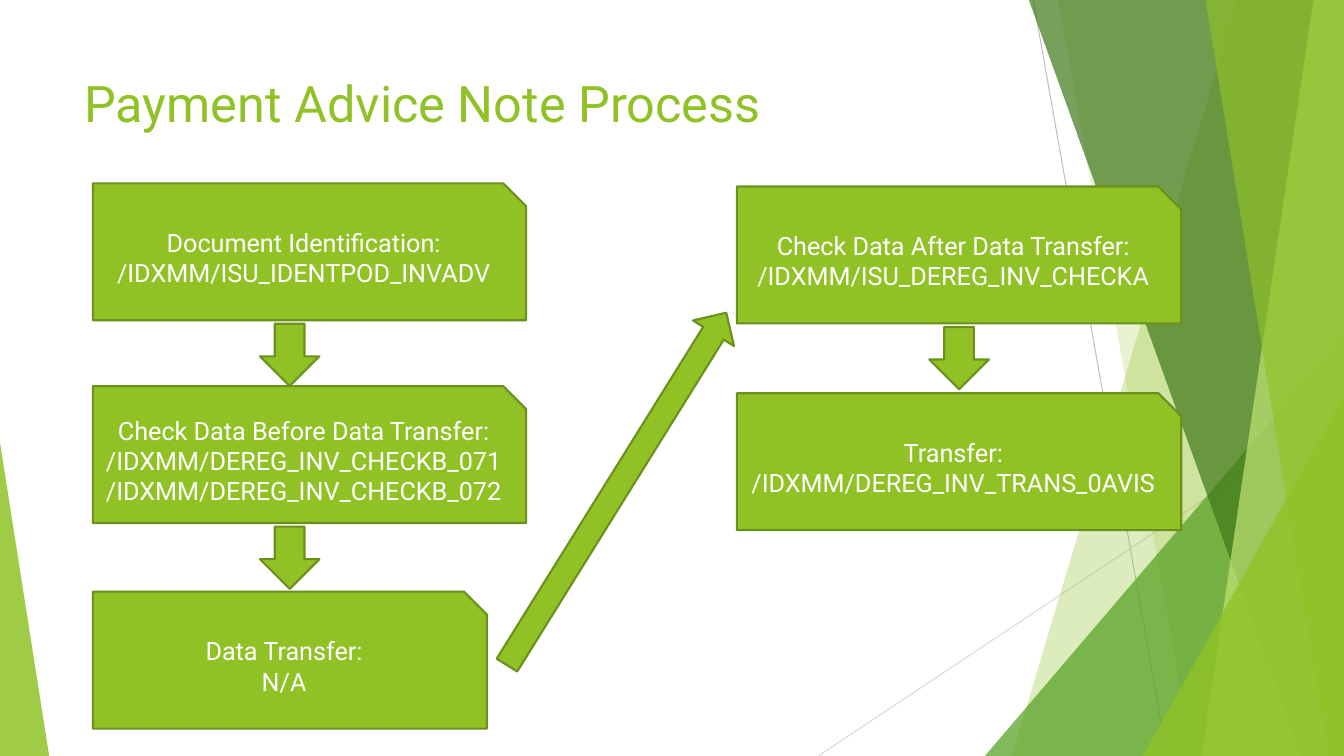
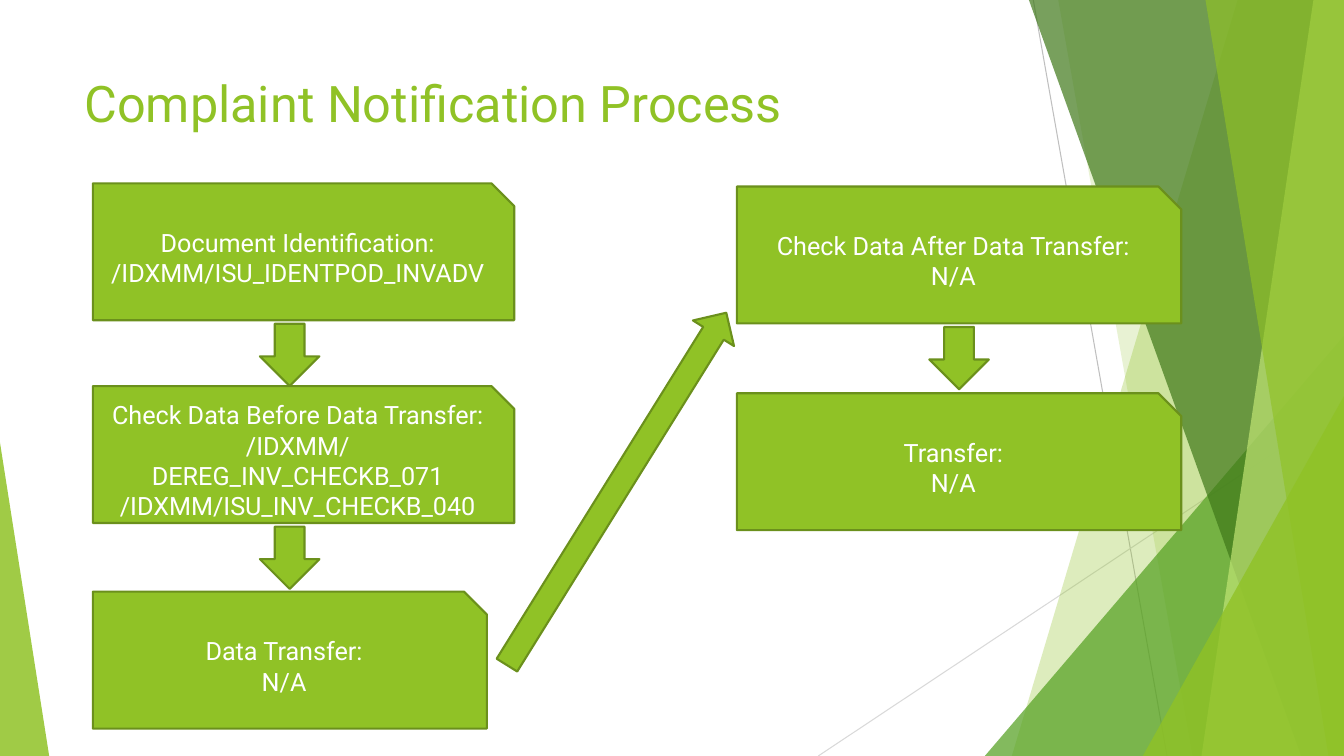
from lxml import etree
from pptx import Presentation
from pptx.dml.color import RGBColor
from pptx.enum.shapes import MSO_CONNECTOR, MSO_SHAPE
from pptx.enum.text import MSO_ANCHOR, PP_ALIGN
from pptx.oxml.ns import qn
from pptx.util import Cm, Pt

LINE = MSO_CONNECTOR.STRAIGHT
TRI, SNIP = MSO_SHAPE.ISOSCELES_TRIANGLE, MSO_SHAPE.SNIP_1_RECTANGLE
DOWN, RIGHT = MSO_SHAPE.DOWN_ARROW, MSO_SHAPE.RIGHT_ARROW
MIDDLE, TOP = MSO_ANCHOR.MIDDLE, MSO_ANCHOR.TOP
CENTER, LEFT = PP_ALIGN.CENTER, PP_ALIGN.LEFT

LIME = RGBColor(0x90, 0xC2, 0x26)
OLIVE = RGBColor(0x6B, 0x90, 0x1C)
GREEN = RGBColor(0x54, 0xA0, 0x21)
FOREST = RGBColor(0x3F, 0x78, 0x19)
PALE = RGBColor(0xC0, 0xE4, 0x74)
GRAY = RGBColor(0xBF, 0xBF, 0xBF)
SILVER = RGBColor(0xD9, 0xD9, 0xD9)
WHITE = RGBColor(0xFF, 0xFF, 0xFF)

# Content: title, width of the first two boxes, text of the five boxes
SLIDES = [
    ("Payment Advice Note Process", 10.92, [
        ["Document Identification:", "/IDXMM/ISU_IDENTPOD_INVADV"],
        ["Check Data Before Data Transfer:",
         "/IDXMM/DEREG_INV_CHECKB_071", "/IDXMM/DEREG_INV_CHECKB_072"],
        ["Data Transfer:", "N/A"],
        ["Check Data After Data Transfer:", "/IDXMM/ISU_DEREG_INV_CHECKA"],
        ["Transfer:", "/IDXMM/DEREG_INV_TRANS_0AVIS"],
    ]),
    ("Complaint Notification Process", 10.62, [
        ["Document Identification:", "/IDXMM/ISU_IDENTPOD_INVADV"],
        ["Check Data Before Data Transfer:",
         "/IDXMM/DEREG_INV_CHECKB_071", "/IDXMM/ISU_INV_CHECKB_040"],
        ["Data Transfer:", "N/A"],
        ["Check Data After Data Transfer:", "N/A"],
        ["Transfer:", "N/A"],
    ]),
]

# Layout in centimetres
WIDE, HIGH = 33.87, 19.05
TITLE = (1.88, 1.7, 23.88, 3.66)
BOX_H = 3.45
COL_1, COL_2 = 2.34, 18.57
TOPS_1, TOPS_2 = (4.62, 9.73, 14.91), (4.7, 9.91)
LAST_W, COL_2_W = 9.93, 11.2
ARROW_W, ARROW_H, GAP = 1.5, 1.57, 0.09
ARROW_1, ARROW_2 = 6.55, 23.42
LONG, TURN = (10.31, 11.71, 10.46, 1.22), 301.9

RULES = [(26.04, 0, 29.41, HIGH, GRAY), (WIDE, 10.24, 20.62, HIGH, SILVER)]
# Bands reach the right edge: top x, bottom x, colour, opacity in percent
# Corners end at the slide foot: left, top, width, peak, colour, opacity
DECOR = [
    ("band", 31.19, 25.5, LIME, 30),
    ("band", 26.67, 30.05, LIME, 20),
    ("corner", 24.82, 8.46, 9.05, 1, GREEN, 72),
    ("band", 25.93, 32.79, FOREST, 70),
    ("band", 33.1, 30.28, PALE, 70),
    ("band", 30.38, 33.48, LIME, 65),
    ("corner", 28.8, 9.98, 5.07, 1, LIME, 80),
    ("corner", 0, 11.15, 1.24, 0, LIME, 85),
]

HEAD = {"size": Pt(36), "name": "Roboto", "color": LIME}
BODY = {"size": Pt(18), "name": "Roboto", "color": WHITE}


def write(shape, lines, form, align, anchor):
    frame = shape.text_frame
    frame.word_wrap = True
    frame.vertical_anchor = anchor
    frame.text = "\n".join(lines)
    for para in frame.paragraphs:
        para.alignment = align
        for key, value in form.items():
            if key == "color":
                para.font.color.rgb = value
            else:
                setattr(para.font, key, value)


def paint(shape, color, edge=None, alpha=None):
    shape.shadow.inherit = False
    shape.fill.solid()
    shape.fill.fore_color.rgb = color
    if edge is None:
        shape.line.fill.background()
    else:
        shape.line.color.rgb = edge
        shape.line.width = Pt(1.5)
    if alpha is not None:
        tone = shape.fill._xPr.find(".//" + qn("a:srgbClr"))
        etree.SubElement(tone, qn("a:alpha")).set("val", str(alpha * 1000))


def add(slide, kind, place):
    return slide.shapes.add_shape(kind, *map(Cm, place))


def block(slide, kind, place):
    shape = add(slide, kind, place)
    paint(shape, LIME, OLIVE)
    return shape


def band(slide, top, foot, color, alpha):
    path = slide.shapes.build_freeform(Cm(top), 0)
    path.add_line_segments([(Cm(x), Cm(y)) for x, y in
                            ((WIDE, 0), (WIDE, HIGH), (foot, HIGH))])
    paint(path.convert_to_shape(), color, alpha=alpha)


def corner(slide, left, top, width, peak, color, alpha):
    shape = add(slide, TRI, (left, top, width, HIGH - top))
    shape.adjustments[0] = peak
    paint(shape, color, alpha=alpha)


def backdrop(slide):
    for *ends, color in RULES:
        rule = slide.shapes.add_connector(LINE, *map(Cm, ends))
        rule.line.color.rgb = color
        rule.line.width = Pt(0.75)
        etree.SubElement(rule._element.spPr, qn("a:effectLst"))
    draw = {"band": band, "corner": corner}
    for kind, *args in DECOR:
        draw[kind](slide, *args)


def build(deck, title, wide, texts):
    slide = deck.slides.add_slide(deck.slide_layouts[6])
    backdrop(slide)
    head = slide.shapes.add_textbox(*map(Cm, TITLE))
    write(head, [title], HEAD, LEFT, TOP)

    # Process boxes
    spots = [(COL_1, y, w) for y, w in zip(TOPS_1, (wide, wide, LAST_W))]
    spots += [(COL_2, y, COL_2_W) for y in TOPS_2]
    for (x, y, w), lines in zip(spots, texts):
        box = block(slide, SNIP, (x, y, w, BOX_H))
        write(box, lines, BODY, CENTER, MIDDLE)

    # Arrows under each box that has a successor below
    for x, tops in ((ARROW_1, TOPS_1), (ARROW_2, TOPS_2)):
        for y in tops[:-1]:
            block(slide, DOWN, (x, y + BOX_H + GAP, ARROW_W, ARROW_H))
    block(slide, RIGHT, LONG).rotation = TURN


def main():
    deck = Presentation()
    deck.slide_width, deck.slide_height = Cm(WIDE), Cm(HIGH)
    for item in SLIDES:
        build(deck, *item)
    deck.save("out.pptx")


if __name__ == "__main__":
    main()
